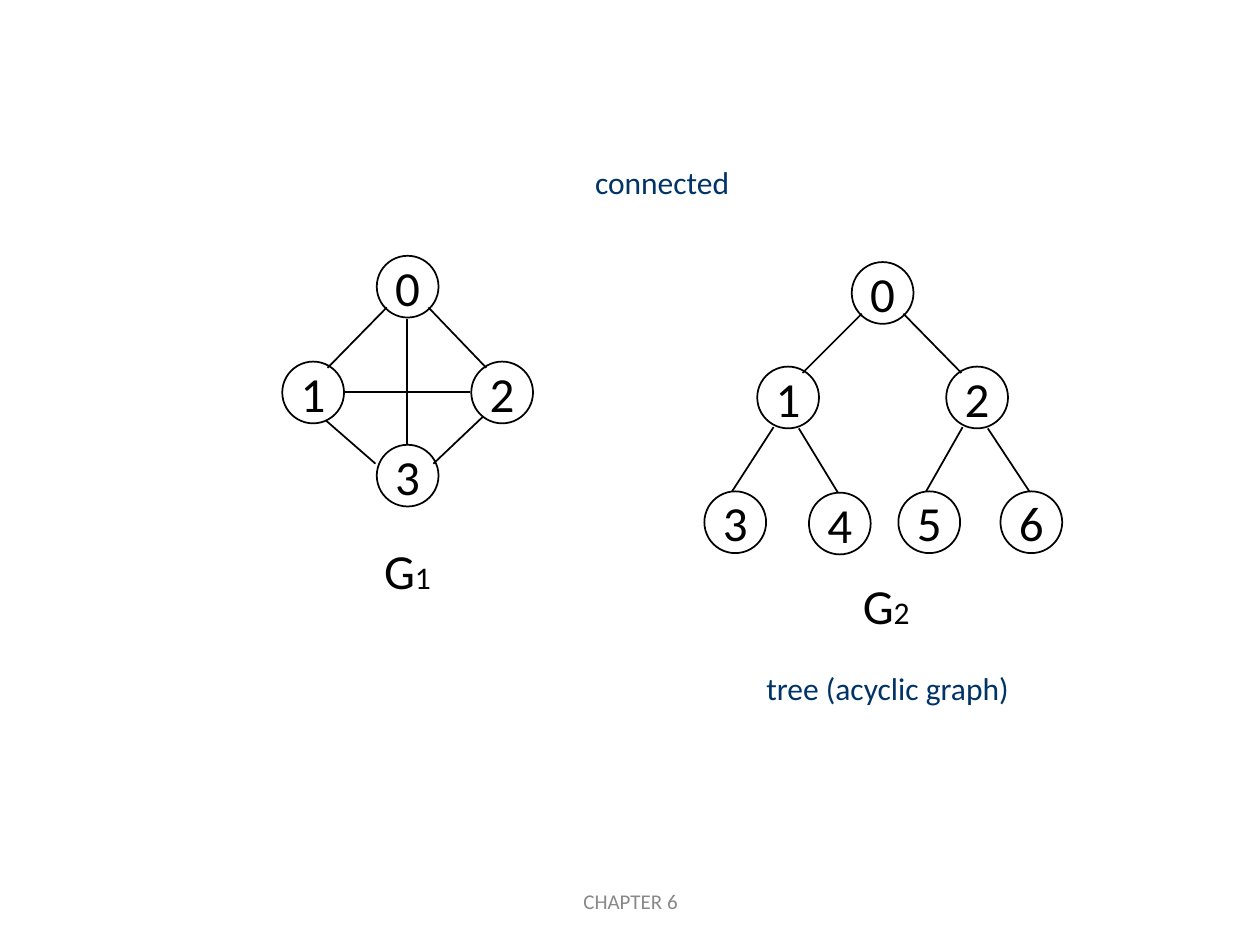
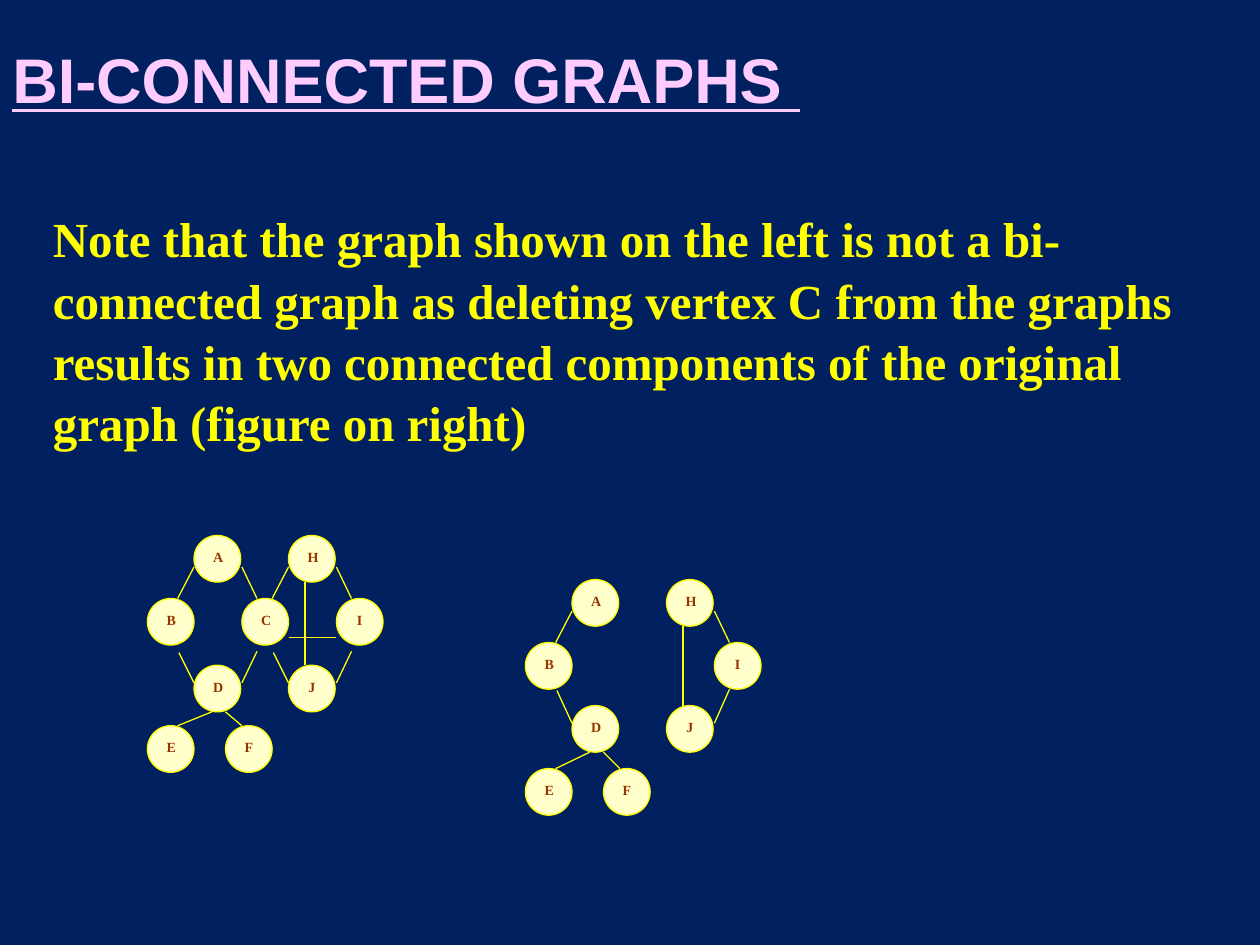
import pptx
import pptx.util
import pptx.dml.color
import pptx.enum.shapes
import pptx.enum.text
import pptx.oxml.ns
from dataclasses import dataclass
from lxml import etree

Inches = pptx.util.Inches
ALIGN = pptx.enum.text.PP_ALIGN
ANCHOR = pptx.enum.text.MSO_ANCHOR

FOOTER = "CHAPTER 6"
CAPTIONS = [
    ("connected", (4.62, 1.24, 1.27, 0.4)),
    ("tree (acyclic graph)", (5.98, 5.26, 2.13, 0.4)),
]
GRAPH_LABELS = [("G", "1", (2.95, 4.24, 0.57, 0.57)), ("G", "2", (6.75, 4.52, 0.57, 0.57))]
TITLE = "BI-CONNECTED GRAPHS "
NOTE = (
    "Note that the graph shown on the left is not a bi-connected graph as deleting "
    "vertex C from the graphs results in two connected components of the original "
    "graph (figure on right)"
)

COMPLETE_GRAPH = {
    "origin": (2.24, 2.03),
    "nodes": {"0": (0.75, 0), "1": (0, 0.84), "2": (1.5, 0.84), "3": (0.75, 1.5)},
    "edges": {"vertical": ["03"], "horizontal": ["12"], "split_left": ["01"],
              "split_right": ["02"], "join_right": ["13"], "join_left": ["23"]},
}
TREE = {
    "origin": (5.59, 2.08),
    "nodes": {"0": (1.17, 0), "1": (0.42, 0.83), "2": (1.92, 0.83), "3": (0, 1.82),
              "4": (0.83, 1.83), "5": (1.54, 1.82), "6": (2.35, 1.82)},
    "edges": {"split_left": ["01"], "split_right": ["02"],
              "leaf_left": ["13", "25"], "leaf_right": ["14", "26"]},
}
JOINED_GRAPH = {
    "origin": (1.17, 4.25),
    "nodes": {"A": (0.37, 0), "B": (0, 0.5), "C": (0.75, 0.5), "D": (0.37, 1.03),
              "E": (0, 1.51), "F": (0.62, 1.51), "H": (1.12, 0), "I": (1.5, 0.5),
              "J": (1.12, 1.03)},
    "edges": {"split_left": ["AB", "HC"], "split_right": ["AC", "HI"],
              "join_right": ["BD", "CJ"], "join_left": ["CD", "IJ"],
              "leaf_left": ["DE"], "leaf_right": ["DF"],
              "vertical": ["HJ"], "horizontal": ["CI"]},
    "sag": 0.05,
}
SPLIT_GRAPH = {
    "origin": (4.17, 4.6),
    "nodes": {"A": (0.37, 0), "B": (0, 0.5), "D": (0.37, 1), "E": (0, 1.5),
              "F": (0.62, 1.5), "H": (1.12, 0), "I": (1.5, 0.5), "J": (1.12, 1)},
    "edges": {"split_left": ["AB"], "split_right": ["HI"], "join_right": ["BD"],
              "join_left": ["IJ"], "leaf_left": ["DE"], "leaf_right": ["DF"],
              "vertical": ["HJ"]},
}

LARGE_PORTS = {
    "split_left": ((0.08, 0.41), (0.36, 0.05)),
    "split_right": ((0.41, 0.41), (0.12, 0.05)),
    "join_left": ((0.09, 0.44), (0.45, 0.15)),
    "join_right": ((0.35, 0.47), (-0.01, 0.15)),
    "leaf_left": ((0.13, 0.48), (0.22, 0)),
    "leaf_right": ((0.33, 0.49), (0.23, 0)),
    "vertical": ((0.24, 0.5), (0.24, 0)),
    "horizontal": ((0.49, 0.24), (-0.01, 0.24)),
}
SMALL_PORTS = {
    "split_left": ((0, 0.25), (0.24, 0)),
    "split_right": ((0.38, 0.25), (0.12, 0)),
    "join_left": ((0.12, 0.37), (0.38, 0.14)),
    "join_right": ((0.25, 0.38), (0, 0.14)),
    "leaf_left": ((0.14, 0.37), (0.24, 0)),
    "leaf_right": ((0.25, 0.37), (0.13, 0)),
    "vertical": ((0.13, 0.37), (0.13, 0)),
    "horizontal": ((0.37, 0.31), (0, 0.31)),
}


def rgb(value):
    return pptx.dml.color.RGBColor.from_string(value)


def font(name, size, color, **more):
    return {"name": name, "size": pptx.util.Pt(size), "color": color, **more}


@dataclass(frozen=True)
class NodeStyle:
    size: float
    fill: str
    line: str
    weight: float
    font: dict
    frame: dict
    ports: dict


class Theme:
    white, navy = "FFFFFF", "002060"
    footer = font("Calibri", 12, "898989")
    caption = font("Calibri", 18, "003366")
    label = font("Calibri", 28, "000000")
    subscript = font("Calibri", 18, "000000")
    title = font("Arial", 36, "FFCCFF", bold=True, underline=True)
    note = font("Times New Roman", 28, "FFFF00", bold=True)
    small = font("Times New Roman", 8, "993300", bold=True)
    middle = {"vertical_anchor": ANCHOR.MIDDLE, "word_wrap": True}
    unwrapped = {"vertical_anchor": ANCHOR.MIDDLE, "word_wrap": False}
    grown = {"word_wrap": False, "auto_size": pptx.enum.text.MSO_AUTO_SIZE.SHAPE_TO_FIT_TEXT}
    note_frame = {**middle, "margin_left": 0, "margin_right": 0,
                  "margin_top": Inches(0.17), "margin_bottom": Inches(0.04)}
    large_node = NodeStyle(0.49, white, "000000", 1, label, unwrapped, LARGE_PORTS)
    small_node = NodeStyle(0.37, "FFFFCC", "FFFF00", 0.75, small,
                           {"vertical_anchor": ANCHOR.TOP, "word_wrap": True}, SMALL_PORTS)


def apply(target, formats):
    for key, value in formats.items():
        if key == "color":
            target.color.rgb = rgb(value)
        else:
            setattr(target, key, value)


def write(sp, runs, frame, **paragraph):
    tf = sp.text_frame
    apply(tf, frame)
    p = tf.paragraphs[0]
    apply(p, paragraph)
    for text, formats in runs:
        r = p.add_run()
        r.text = text
        apply(r.font, formats)


def add_text(s, box, runs, frame, **paragraph):
    write(s.shapes.add_textbox(*map(Inches, box)), runs, frame, **paragraph)


def add_node(s, name, x, y, style):
    sp = s.shapes.add_shape(pptx.enum.shapes.MSO_SHAPE.OVAL,
                            *map(Inches, (x, y, style.size, style.size)))
    sp.shadow.inherit = False
    sp.fill.solid()
    sp.fill.fore_color.rgb = rgb(style.fill)
    apply(sp.line, {"color": style.line, "width": pptx.util.Pt(style.weight)})
    write(sp, [(name, style.font)], style.frame, alignment=ALIGN.CENTER)


def add_edge(s, start, end, style):
    cx = s.shapes.add_connector(pptx.enum.shapes.MSO_CONNECTOR.STRAIGHT,
                                *map(Inches, (*start, *end)))
    apply(cx.line, {"color": style.line, "width": pptx.util.Pt(style.weight)})
    etree.SubElement(cx._element.spPr, pptx.oxml.ns.qn("a:effectLst"))


def add_graph(s, graph, style):
    left, top = graph["origin"]
    nodes = {name: (left + x, top + y) for name, (x, y) in graph["nodes"].items()}
    for name, (x, y) in nodes.items():
        add_node(s, name, x, y, style)
    for kind, pairs in graph["edges"].items():
        (x1, y1), (x2, y2) = style.ports[kind]
        if kind.startswith("join"):
            y1 += graph.get("sag", 0)
        for a, b in pairs:
            add_edge(s, (nodes[a][0] + x1, nodes[a][1] + y1),
                     (nodes[b][0] + x2, nodes[b][1] + y2), style)


def add_slide(prs, background):
    s = prs.slides.add_slide(prs.slide_layouts[6])
    fill = s.background.fill
    fill.solid()
    fill.fore_color.rgb = rgb(background)
    return s


def connected_slide(prs):
    s = add_slide(prs, Theme.white)
    add_text(s, (3.42, 6.95, 3.17, 0.4), [(FOOTER, Theme.footer)], Theme.middle,
             alignment=ALIGN.CENTER)
    for graph in (COMPLETE_GRAPH, TREE):
        add_graph(s, graph, Theme.large_node)
    for letter, number, box in GRAPH_LABELS:
        add_text(s, box, [(letter, Theme.label), (number, Theme.subscript)], Theme.grown)
    for text, box in CAPTIONS:
        add_text(s, box, [(text, Theme.caption)], {**Theme.middle, **Theme.grown},
                 alignment=ALIGN.CENTER)


def biconnected_slide(prs):
    s = add_slide(prs, Theme.navy)
    add_text(s, (0, 0, 8.5, 1.25), [(TITLE, Theme.title)], Theme.middle)
    for graph in (JOINED_GRAPH, SPLIT_GRAPH):
        add_graph(s, graph, Theme.small_node)
    add_text(s, (0.42, 1.67, 9.17, 1.75), [(NOTE, Theme.note)], Theme.note_frame,
             line_spacing=1.04)


def main():
    prs = pptx.Presentation()
    apply(prs, {"slide_width": Inches(10), "slide_height": Inches(7.5)})
    connected_slide(prs)
    biconnected_slide(prs)
    prs.save("out.pptx")


if __name__ == "__main__":
    main()
